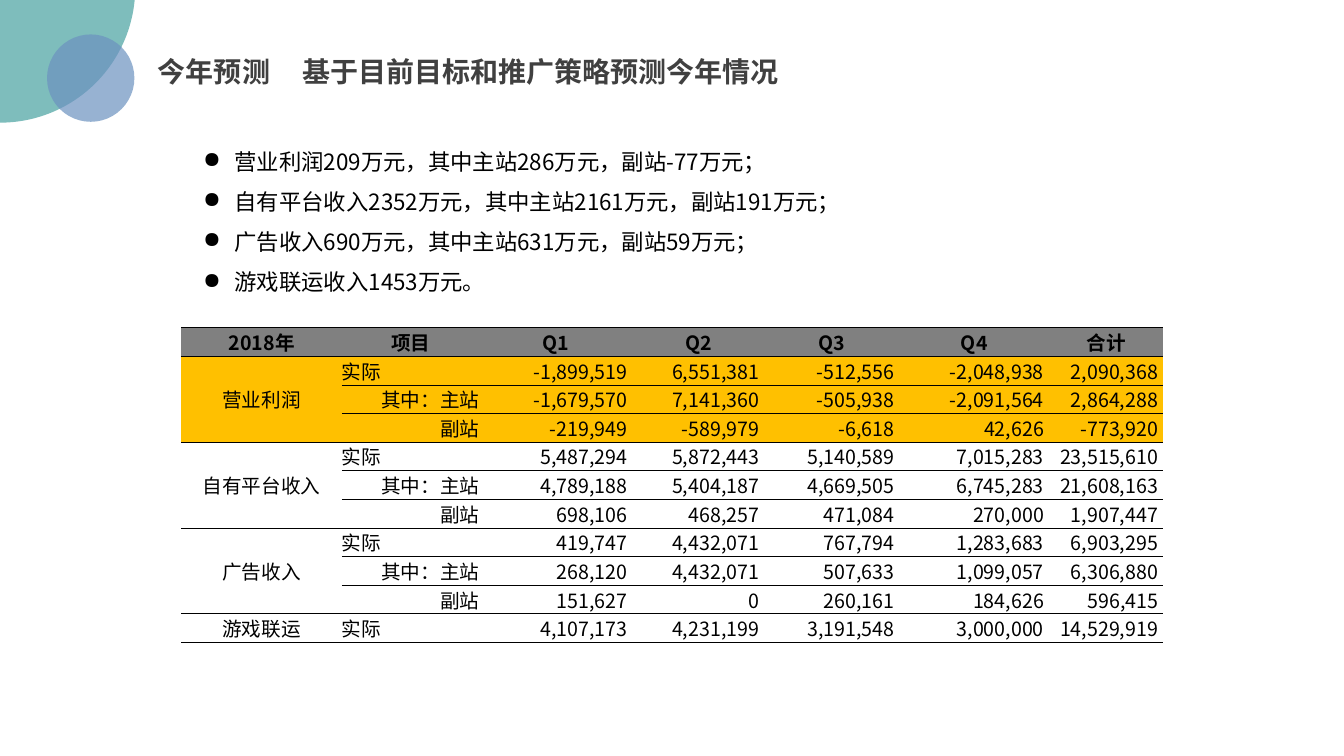
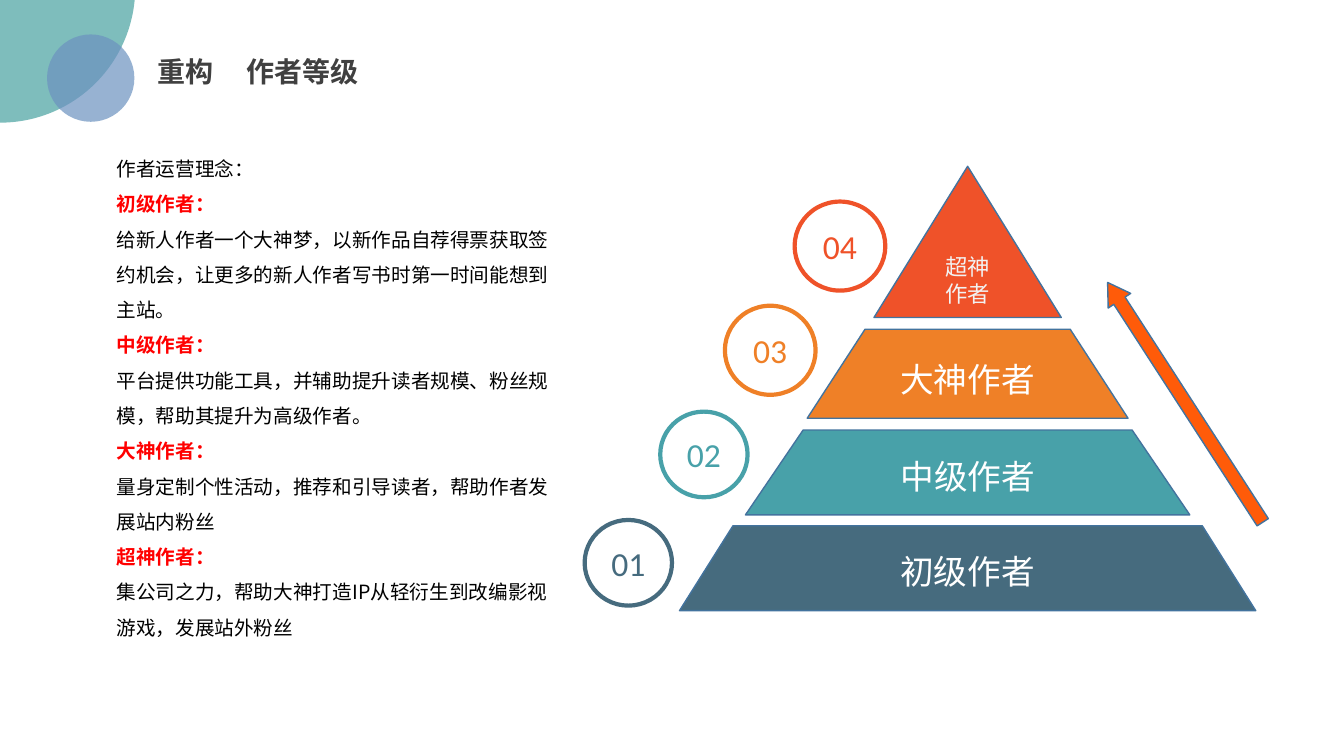
from dataclasses import dataclass
from typing import Any, NamedTuple, Optional

import pptx
import pptx.dml.color
import pptx.enum.shapes
import pptx.enum.text
import pptx.oxml.ns
import pptx.util
from lxml import etree

ALIGN = pptx.enum.text.PP_ALIGN
ANCHOR = pptx.enum.text.MSO_ANCHOR
PRESET = pptx.enum.shapes.MSO_SHAPE
COLUMNS, ROWS, CELL = 160, 90, 76200


@dataclass(frozen=True)
class Theme:
    cjk: str = "Noto Sans CJK SC"
    latin: str = "Calibri"
    ink: str = "000000"
    title: str = "404040"
    accent: str = "FF0000"
    teal: str = "48A2A0"
    blue: str = "6C92C0"
    header: str = "808080"
    highlight: str = "FFC000"
    outline: str = "43739E"
    arrow: str = "FF5B09"
    white: str = "FFFFFF"
    pale: str = "F2F2F2"
    title_size: int = 20
    bullet_size: int = 16
    body_size: int = 14
    label_size: int = 24
    line_spacing: float = 1.5


THEME = Theme()


class Box(NamedTuple):
    left: float
    top: float
    width: float
    height: float


class Type(NamedTuple):
    size: int
    color: str
    bold: bool = False
    font: str = THEME.cjk


class Group(NamedTuple):
    name: str
    figures: list[tuple[int, ...]]
    fill: Optional[str] = None


@dataclass(frozen=True)
class Tier:
    number: str
    lines: tuple[str, ...]
    color: str
    top: float
    width: float
    height: float
    ring: Box
    type: Type
    slope: Optional[float] = None


CORNER = [
    (Box(-16.1, -17.6, 32.2, 32.2), THEME.teal),
    (Box(5.6, 4.1, 10.4, 10.4), THEME.blue),
]

FORECAST = [
    "营业利润209万元，其中主站286万元，副站-77万元；",
    "自有平台收入2352万元，其中主站2161万元，副站191万元；",
    "广告收入690万元，其中主站631万元，副站59万元；",
    "游戏联运收入1453万元。",
]

HEADINGS = ["2018年", "项目", "Q1", "Q2", "Q3", "Q4", "合计"]
ITEMS = ["实际", "其中：主站", "副站"]
TABLE_COLUMNS = [19.1, 16.4, 18.2, 15.7, 16.1, 17.8, 13.6]
GROUPS = [
    Group("营业利润", [
        (-1899519, 6551381, -512556, -2048938, 2090368),
        (-1679570, 7141360, -505938, -2091564, 2864288),
        (-219949, -589979, -6618, 42626, -773920),
    ], THEME.highlight),
    Group("自有平台收入", [
        (5487294, 5872443, 5140589, 7015283, 23515610),
        (4789188, 5404187, 4669505, 6745283, 21608163),
        (698106, 468257, 471084, 270000, 1907447),
    ]),
    Group("广告收入", [
        (419747, 4432071, 767794, 1283683, 6903295),
        (268120, 4432071, 507633, 1099057, 6306880),
        (151627, 0, 260161, 184626, 596415),
    ]),
    Group("游戏联运", [(4107173, 4231199, 3191548, 3000000, 14529919)]),
]

CONCEPT = "作者运营理念："
LEVELS = [
    ("初级作者：", "给新人作者一个大神梦，以新作品自荐得票获取签约机会，让更多的新人作者写书时第一时间能想到主站。"),
    ("中级作者：", "平台提供功能工具，并辅助提升读者规模、粉丝规模，帮助其提升为高级作者。"),
    ("大神作者：", "量身定制个性活动，推荐和引导读者，帮助作者发展站内粉丝"),
    ("超神作者：", "集公司之力，帮助大神打造IP从轻衍生到改编影视游戏，发展站外粉丝"),
]

PYRAMID_AXIS = 115.2
TIER_TYPE = Type(THEME.label_size, THEME.white, font=THEME.latin)
TIERS = [
    Tier("04", ("超神", "作者"), "EF5229", 19.8, 22.3, 18,
         Box(94.6, 24, 10.8, 10.6), Type(THEME.bullet_size, THEME.pale)),
    Tier("03", ("大神作者",), "EF8027", 39.2, 38.2, 10.6,
         Box(86.3, 36.4, 10.8, 10.6), TIER_TYPE, 0.65),
    Tier("02", ("中级作者",), "48A1A9", 51.2, 52.9, 10.1,
         Box(78.6, 49, 10.4, 10.2), TIER_TYPE, 0.68),
    Tier("01", ("初级作者",), "466B7E", 62.6, 68.6, 10.1,
         Box(69.6, 61.9, 10.4, 10.2), TIER_TYPE, 0.63),
]


def grid(units: float) -> pptx.util.Emu:
    return pptx.util.Emu(round(units * CELL))


def place(box: Box) -> list[pptx.util.Emu]:
    return [grid(units) for units in box]


def rgb(color: str) -> pptx.dml.color.RGBColor:
    return pptx.dml.color.RGBColor.from_string(color)


def add_xml(parent: Any, tag: str, **attributes: str) -> Any:
    return etree.SubElement(parent, pptx.oxml.ns.qn(tag), attributes)


def apply(target: Any, formats: dict[str, Any]) -> None:
    for attribute, value in formats.items():
        setattr(target, attribute, value)


def write(paragraph: Any, text: str, style: Type, **formats: Any) -> None:
    apply(paragraph, formats)
    run = paragraph.add_run()
    run.text = text
    apply(run.font, {"size": pptx.util.Pt(style.size), "bold": style.bold, "name": style.font})
    run.font.color.rgb = rgb(style.color)
    add_xml(run.font._element, "a:ea", typeface=style.font)


def next_paragraph(frame: Any, index: int) -> Any:
    return frame.add_paragraph() if index else frame.paragraphs[0]


def add_figure(slide: Any, preset: Any, box: Box, fill: Optional[str] = None,
               line: Optional[str] = None, weight: float = 1) -> Any:
    figure = slide.shapes.add_shape(preset, *place(box))
    figure.shadow.inherit = False
    if fill:
        figure.fill.solid()
        figure.fill.fore_color.rgb = rgb(fill)
    else:
        figure.fill.background()
    if line:
        figure.line.color.rgb = rgb(line)
        figure.line.width = pptx.util.Pt(weight)
    else:
        figure.line.fill.background()
    return figure


def add_label(figure: Any, lines: tuple[str, ...], style: Type) -> None:
    apply(figure.text_frame, {"word_wrap": True, "vertical_anchor": ANCHOR.MIDDLE})
    for index, text in enumerate(lines):
        write(next_paragraph(figure.text_frame, index), text, style, alignment=ALIGN.CENTER)


def add_text_frame(slide: Any, box: Box) -> Any:
    frame = slide.shapes.add_textbox(*place(box)).text_frame
    frame.word_wrap = True
    return frame


def add_titled_slide(deck: Any, topic: str, subject: str, width: float) -> Any:
    slide = deck.slides.add_slide(deck.slide_layouts[5])
    for box, color in CORNER:
        circle = add_figure(slide, PRESET.OVAL, box, color)
        tint = circle.fill._xPr.find(".//" + pptx.oxml.ns.qn("a:srgbClr"))
        add_xml(tint, "a:alpha", val="70000")
    title = slide.shapes.title
    left, top, wide, high = place(Box(17.6, 5.9, width, 5.3))
    apply(title, {"left": left, "top": top, "width": wide, "height": high})
    apply(title.text_frame, {
        "word_wrap": True,
        "auto_size": pptx.enum.text.MSO_AUTO_SIZE.NONE,
        "vertical_anchor": ANCHOR.TOP,
    })
    heading = title.text_frame.paragraphs[0]
    stop = pptx.util.Pt(len(topic) * THEME.title_size + 23)
    tabs = add_xml(heading._p.get_or_add_pPr(), "a:tabLst")
    add_xml(tabs, "a:tab", pos=str(stop), algn="l")
    write(heading, f"{topic}\t{subject}", Type(THEME.title_size, THEME.title, True),
          alignment=ALIGN.LEFT)
    return slide


def add_border(cell: Any, side: str, weight: float) -> None:
    properties = cell._tc.get_or_add_tcPr()
    border = add_xml(properties, f"a:ln{side}", w=str(pptx.util.Pt(weight)))
    if weight:
        add_xml(add_xml(border, "a:solidFill"), "a:srgbClr", val=THEME.ink)
    else:
        add_xml(border, "a:noFill")


def fill_cell(cell: Any, text: str, align: Any, fill: Optional[str], top: float,
              bottom: float, bold: bool = False, margin_right: float = 0) -> None:
    for side, weight in {"L": 0, "R": 0, "T": top, "B": bottom}.items():
        add_border(cell, side, weight)
    apply(cell, {
        "margin_left": 0, "margin_top": 0, "margin_bottom": 0,
        "margin_right": grid(margin_right), "vertical_anchor": ANCHOR.MIDDLE,
    })
    if fill:
        cell.fill.solid()
        cell.fill.fore_color.rgb = rgb(fill)
    else:
        cell.fill.background()
    if text:
        write(cell.text_frame.paragraphs[0], text, Type(THEME.body_size, THEME.ink, bold),
              alignment=align)


def add_forecast_table(slide: Any) -> None:
    row_count = 1 + sum(len(group.figures) for group in GROUPS)
    box = Box(21.6, 39, sum(TABLE_COLUMNS), 37.4)
    table = slide.shapes.add_table(row_count, len(HEADINGS), *place(box)).table
    apply(table, {"first_row": False, "horz_banding": False})
    for column, width in zip(table.columns, TABLE_COLUMNS):
        column.width = grid(width)
    for row in table.rows:
        row.height = grid(box.height / row_count)
    for column, heading in enumerate(HEADINGS):
        fill_cell(table.cell(0, column), heading, ALIGN.CENTER, THEME.header, 1, 0.5, bold=True)
    row = 1
    for group in GROUPS:
        first = row
        for item, figures in zip(ITEMS, group.figures):
            edges = (group.fill, 0.5, 1 if row == row_count - 1 else 0.5)
            fill_cell(table.cell(row, 0), group.name if row == first else "", ALIGN.CENTER, *edges)
            fill_cell(table.cell(row, 1), item, ALIGN.LEFT if row == first else ALIGN.RIGHT, *edges)
            for column, figure in enumerate(figures, 2):
                fill_cell(table.cell(row, column), f"{figure:,}", ALIGN.RIGHT, *edges,
                          margin_right=0.6)
            row += 1
        if row - first > 1:
            table.cell(first, 0).merge(table.cell(row - 1, 0))


def build_forecast(deck: Any) -> None:
    slide = add_titled_slide(deck, "今年预测", "基于目前目标和推广策略预测今年情况", 78)
    add_forecast_table(slide)
    frame = add_text_frame(slide, Box(23, 15.4, 113.9, 20.6))
    indent = grid(3.75)
    for index, text in enumerate(FORECAST):
        paragraph = next_paragraph(frame, index)
        properties = paragraph._p.get_or_add_pPr()
        properties.set("marL", str(indent))
        properties.set("indent", str(-indent))
        add_xml(properties, "a:buChar", char="●")
        write(paragraph, text, Type(THEME.bullet_size, THEME.ink),
              line_spacing=THEME.line_spacing)


def build_levels(deck: Any) -> None:
    slide = add_titled_slide(deck, "重构", "作者等级", 27.6)
    frame = add_text_frame(slide, Box(12.7, 16.7, 54.2, 60.6))
    plain = Type(THEME.body_size, THEME.ink)
    strong = Type(THEME.body_size, THEME.accent, True)
    passages = [(CONCEPT, plain)]
    for level, idea in LEVELS:
        passages += [(level, strong), (idea, plain)]
    for index, (text, style) in enumerate(passages):
        write(next_paragraph(frame, index), text, style, line_spacing=THEME.line_spacing)
    for tier in TIERS:
        preset = PRESET.TRAPEZOID if tier.slope else PRESET.ISOSCELES_TRIANGLE
        body = Box(PYRAMID_AXIS - tier.width / 2, tier.top, tier.width, tier.height)
        layer = add_figure(slide, preset, body, tier.color, THEME.outline)
        if tier.slope:
            layer.adjustments[0] = tier.slope
        add_label(layer, tier.lines, tier.type)
        ring = add_figure(slide, PRESET.OVAL, tier.ring, line=tier.color, weight=3)
        add_label(ring, (tier.number,), Type(THEME.label_size, tier.color, font=THEME.latin))
    ascent = add_figure(slide, PRESET.RIGHT_ARROW, Box(124.1, 46.3, 34, 3.2),
                        THEME.arrow, THEME.outline)
    ascent.rotation = 237.1
    ascent.adjustments[1] = 0.81


def main() -> None:
    deck = pptx.Presentation()
    apply(deck, {"slide_width": grid(COLUMNS), "slide_height": grid(ROWS)})
    build_forecast(deck)
    build_levels(deck)
    deck.save("out.pptx")


if __name__ == "__main__":
    main()
